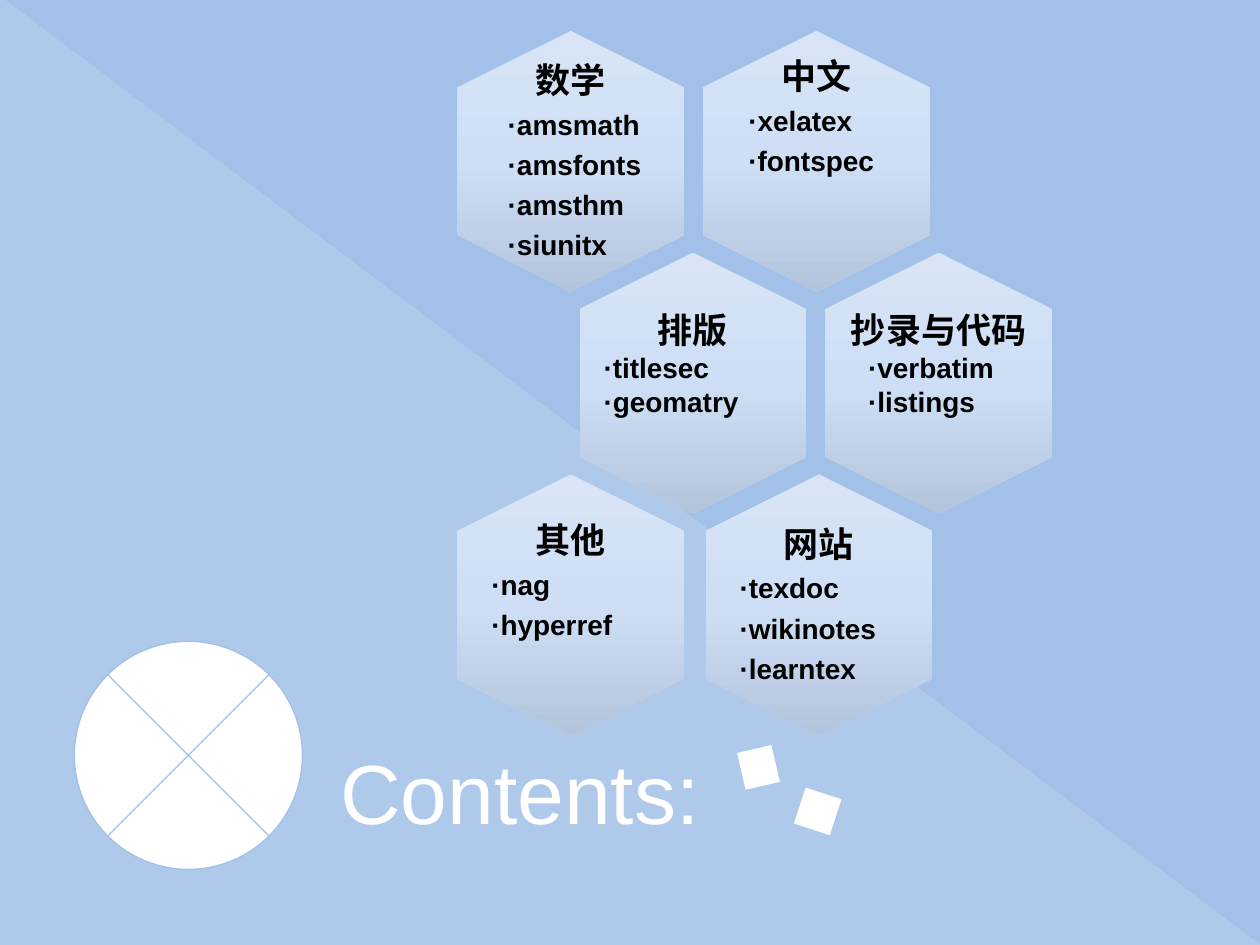
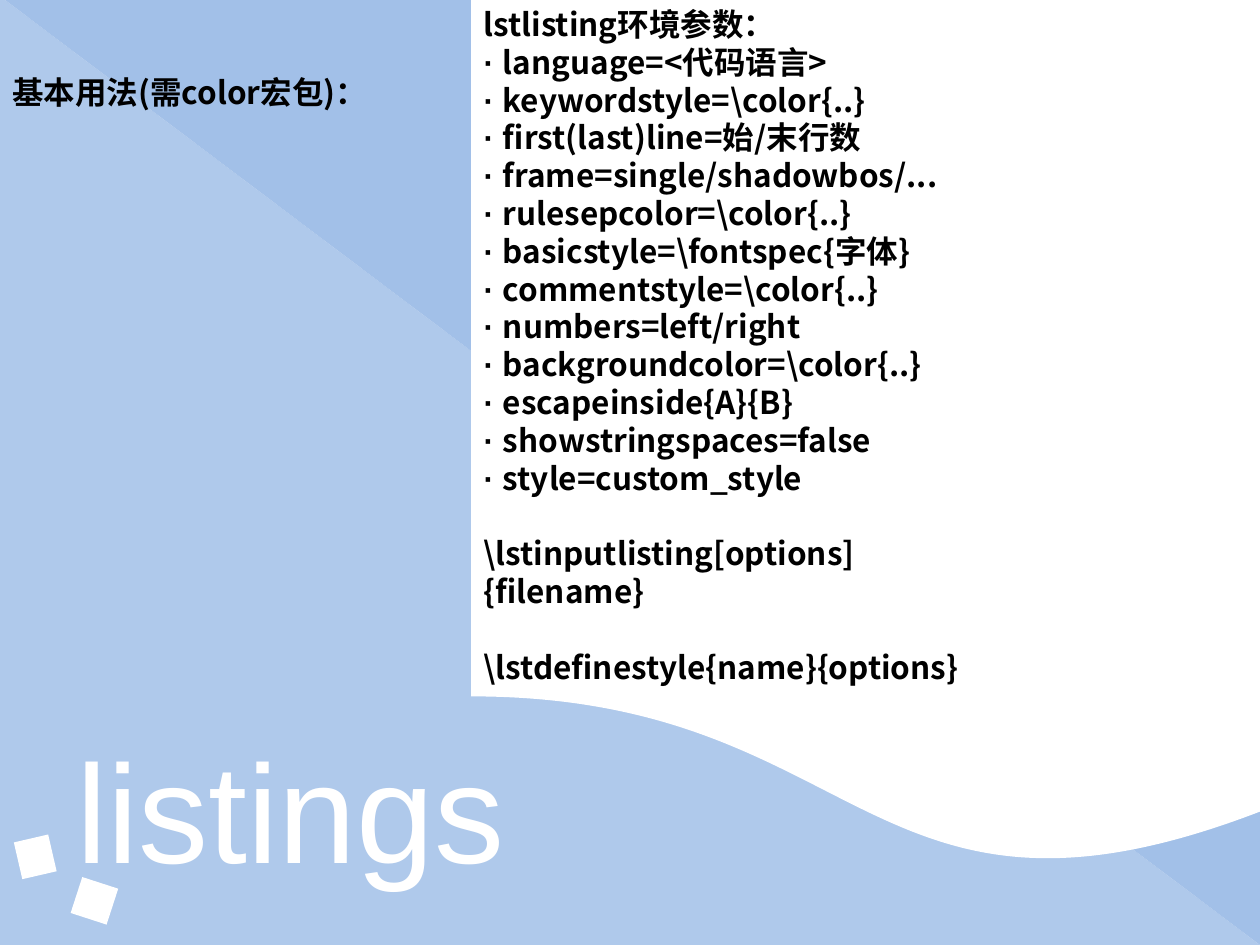
from copy import deepcopy

from pptx import Presentation
from pptx.dml.color import RGBColor
from pptx.enum.shapes import MSO_SHAPE as SHAPE
from pptx.enum.text import MSO_ANCHOR as ANCHOR, MSO_AUTO_SIZE as AUTO, PP_ALIGN as ALIGN
from pptx.oxml.ns import qn
from pptx.util import Inches, Pt

COLORS = {
    "blue": "A2C0E8",
    "white": "FFFFFF",
    "black": "000000",
    "hex_top": "D9E5F6",
    "hex_middle": "CDDEF5",
    "hex_bottom": "B3C4DD",
}
LATIN, CJK = "Arial", "Noto Sans CJK SC"


def add_shape(s, kind, x, y, w, h, color, rotation=0):
    sp = s.shapes.add_shape(kind, Inches(x), Inches(y), Inches(w), Inches(h))
    sp.shadow.inherit = False
    sp.fill.solid()
    sp.fill.fore_color.rgb = RGBColor.from_string(COLORS[color])
    sp.line.fill.background()
    sp.rotation = rotation
    return sp


def add_line(p, runs, size, spacing, color="black", bold=True):
    """Fill a paragraph with (text, font) runs at a fixed line height in points."""
    p.line_spacing = Pt(spacing)
    p.font.size = Pt(size)
    for text, font in runs:
        r = p.add_run()
        r.text = text
        r.font.name = font
        r.font.size = Pt(size)
        r.font.bold = bold
        r.font.color.rgb = RGBColor.from_string(COLORS[color])
        ea = r.font._element.makeelement(qn("a:ea"), {"typeface": CJK})
        r.font._element.find(qn("a:latin")).addnext(ea)


prs = Presentation()
prs.slide_width, prs.slide_height = Inches(10), Inches(7.5)

# Shared look: two-tone background, white title, pair of tilted squares
# title, title box, title size, left and top of the first square
slides = []
for title, box, size, square_x, square_y in [
    ("Contents:", (2.6, 5.83, 5.39, 0.9), 48, 5.87, 5.95),
    ("listings", (0.51, 5.69, 8.49, 1.45), 80, 0.13, 6.66),
]:
    s = prs.slides.add_slide(prs.slide_layouts[5])
    slides.append(s)

    lower = add_shape(s, SHAPE.RIGHT_TRIANGLE, 0, -0.03, 10, 7.53, "blue")
    rgb = lower._element.spPr.find(qn("a:solidFill"))[0]
    rgb.append(rgb.makeelement(qn("a:alpha"), {"val": "85000"}))
    add_shape(s, SHAPE.RIGHT_TRIANGLE, 0, -0.03, 10, 7.53, "blue", 180)

    sp = s.shapes.title
    s.shapes._spTree.append(sp._element)  # bring in front of the background
    sp.left, sp.top, sp.width, sp.height = [Inches(v) for v in box]
    tf = sp.text_frame
    tf.text = title
    tf.auto_size = AUTO.NONE
    tf.vertical_anchor = ANCHOR.TOP
    p = tf.paragraphs[0]
    p.alignment = ALIGN.LEFT
    p.font.name = LATIN
    p.font.size = Pt(size)
    p.font.color.rgb = RGBColor.from_string(COLORS["white"])

    add_shape(s, SHAPE.RECTANGLE, square_x, square_y, 0.3, 0.28, "white", 257)
    add_shape(s, SHAPE.RECTANGLE, square_x + 0.47, square_y + 0.34, 0.3, 0.3, "white", 18)

contents, listings = slides

# Slide 1: honeycomb of package topics
sp = add_shape(contents, SHAPE.FLOWCHART_SUMMING_JUNCTION, 0.59, 5.09, 1.81, 1.81, "white")
sp.line.color.rgb = RGBColor.from_string(COLORS["blue"])
sp.line.width = Pt(0.75)

HEX_LONG, HEX_SHORT = 2.07, 1.8
HEX_STOPS = [(0, "hex_top"), (0.5, "hex_middle"), (1, "hex_bottom")]
# centre x, row, text top, item indent, item line height, heading, items
topics = [
    (6.48, 0, 0.45, 0.36, 23, "中文", ["xelatex", "fontspec"]),
    (4.53, 0, 0.48, 0.40, 23, "数学", ["amsmath", "amsfonts", "amsthm", "siunitx"]),
    (5.5, 1, 2.46, 0.19, 19.5, "排版", ["titlesec", "geomatry"]),
    (7.45, 1, 2.46, 0.34, 19.5, "抄录与代码", ["verbatim", "listings"]),
    (6.5, 2, 4.16, 0.27, 23, "网站", ["texdoc", "wikinotes", "learntex"]),
    (4.53, 2, 4.13, 0.27, 23, "其他", ["nag", "hyperref"]),
]
for cx, row, top, indent, spacing, heading, items in topics:
    cy = 1.28 + row * 1.76
    sp = add_shape(contents, SHAPE.HEXAGON, cx - HEX_LONG / 2, cy - HEX_SHORT / 2,
                   HEX_LONG, HEX_SHORT, "hex_middle", 90)
    sp.adjustments[0] = 0.25
    sp.fill.gradient()
    sp.fill.gradient_angle = 270
    grad = sp._element.spPr.find(qn("a:gradFill"))
    grad.set("rotWithShape", "0")
    first = grad.find(qn("a:gsLst"))[0]
    first.addnext(deepcopy(first))
    for stop, (position, color) in zip(sp.fill.gradient_stops, HEX_STOPS):
        stop.position = position
        stop.color.rgb = RGBColor.from_string(COLORS[color])

    tb = contents.shapes.add_textbox(Inches(cx - HEX_SHORT / 2), Inches(top),
                                     Inches(HEX_SHORT), Inches(1.6))
    tf = tb.text_frame
    tf.word_wrap = True
    tf.margin_left = tf.margin_right = tf.margin_top = tf.margin_bottom = 0
    p = tf.paragraphs[0]
    p.alignment = ALIGN.CENTER
    add_line(p, [(heading, CJK)], 20, 23)
    for item in items:
        p = tf.add_paragraph()
        p._p.get_or_add_pPr().set("marL", str(Inches(indent)))
        add_line(p, [("·" + item, LATIN)], 16, spacing)

# Slide 2: options of the lstlisting environment
sp = add_shape(listings, SHAPE.FLOWCHART_DOCUMENT, 3.74, -0.03, 6.26, 6.93, "white")
sp._element.spPr.xfrm.set("flipH", "1")

options = [
    "language=<代码语言>",
    "keywordstyle=\\color{..}",
    "first(last)line=始/末行数",
    "frame=single/shadowbos/...",
    "rulesepcolor=\\color{..}",
    "basicstyle=\\fontspec{字体}",
    "commentstyle=\\color{..}",
    "numbers=left/right",
    "backgroundcolor=\\color{..}",
    "escapeinside{A}{B}",
    "showstringspaces=false",
    "style=custom_style",
]
LINE = 21.6
usage = [[("基本用法(需color宏包)：", CJK)]]
parameters = [[("lstlisting环境参数：", CJK)]]
parameters += [[("· ", LATIN), (option, CJK)] for option in options]
commands = ["\\lstinputlisting[options]", "{filename}", "\\lstdefinestyle{name}{options}"]
parameters += [[(command, CJK)] for command in commands]

for x, y, w, h, lines in [(0, 0.53, 4.05, 1.92, usage), (3.74, -0.01, 6.26, 5.86, parameters)]:
    tf = listings.shapes.add_textbox(Inches(x), Inches(y), Inches(w), Inches(h)).text_frame
    tf.word_wrap = True
    for i, runs in enumerate(lines):
        p = tf.add_paragraph() if i else tf.paragraphs[0]
        add_line(p, runs, 18, LINE)
        if runs[0][0].startswith("\\"):
            p.space_before = Pt(LINE)

prs.save("out.pptx")
